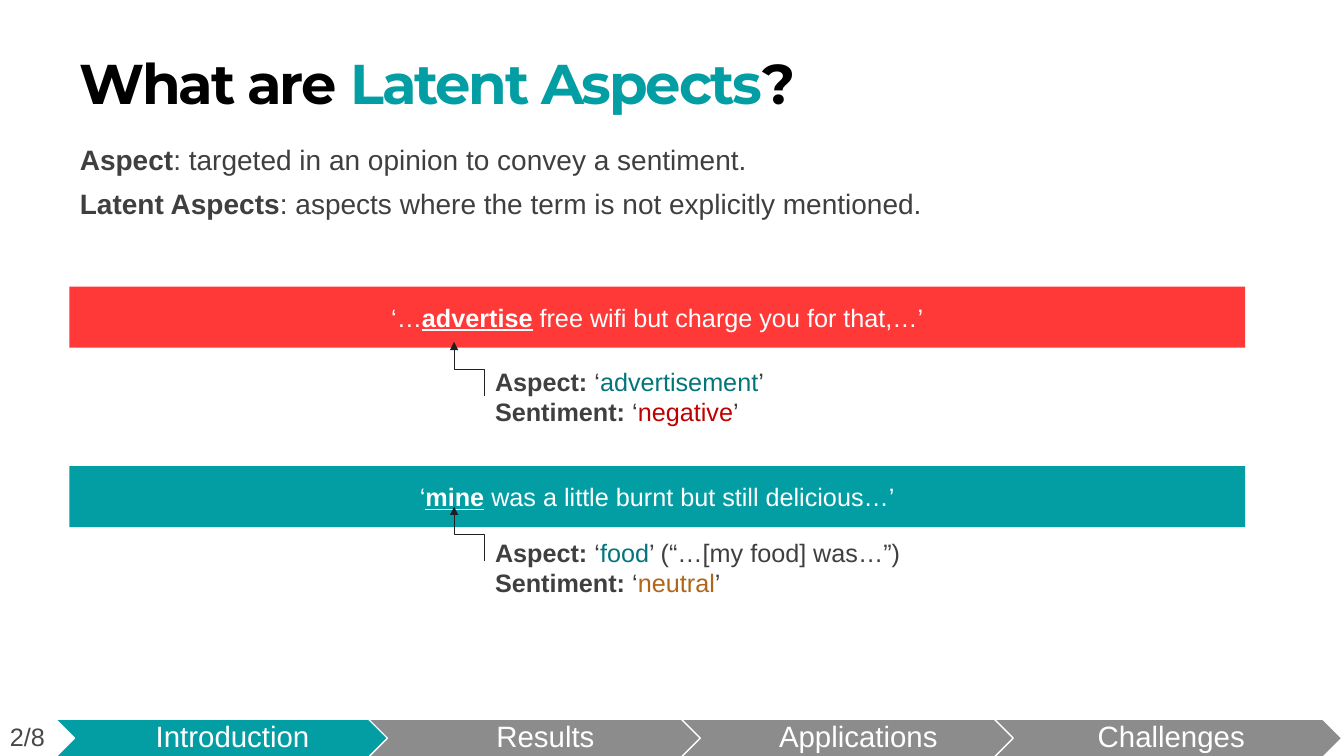
from lxml.etree import SubElement
from pptx import Presentation
from pptx.dml.color import RGBColor
from pptx.enum.shapes import MSO_CONNECTOR, MSO_SHAPE
from pptx.enum.text import MSO_ANCHOR, MSO_AUTO_SIZE, PP_ALIGN
from pptx.oxml.ns import qn
from pptx.util import Pt

PX = 9525  # EMU per px, 96 px to the inch
COLORS = {
    "black": "000000", "white": "FFFFFF", "text": "3F3F3F", "number": "484848",
    "teal": "039EA4", "dark teal": "02767B", "red": "FF0000",
    "negative": "C00000", "neutral": "B16519", "gray": "8C8C8C", "arrow": "1F1F26",
}


def color(name):
    return RGBColor.from_string(COLORS[name])


def write(frame, lines, size, font="Arial", align=PP_ALIGN.LEFT):
    """Fill a frame with lines of (text, colour, style) spans; style holds b and u."""
    frame.word_wrap = True
    frame.auto_size = MSO_AUTO_SIZE.NONE
    for index, line in enumerate(lines):
        para = frame.paragraphs[0] if index == 0 else frame.add_paragraph()
        para.alignment = align
        for text, name, style in line:
            span = para.add_run()
            span.text = text
            span.font.name = font
            span.font.size = Pt(size)
            span.font.bold = "b" in style
            span.font.underline = "u" in style
            span.font.color.rgb = color(name)


deck = Presentation()
deck.slide_width, deck.slide_height = 1280 * PX, 720 * PX
page = deck.slides.add_slide(deck.slide_layouts[1])
title, body = page.placeholders

# Title
title.left, title.top, title.width, title.height = 66 * PX, 49 * PX, 878 * PX, 139 * PX
title.text_frame.vertical_anchor = MSO_ANCHOR.TOP
write(title.text_frame, [[("What are", "black", "b"), (" Latent Aspects", "teal", "b"),
                          ("?", "black", "b")]], 40, "Montserrat")
title.text_frame.paragraphs[0].line_spacing = 0.9
for span in title.text_frame.paragraphs[0].runs:
    span.font._element.set("spc", "-150")

# Definitions
body.left, body.top, body.width, body.height = 76 * PX, 131 * PX, 1138 * PX, 100 * PX
frame = body.text_frame
frame.margin_left, frame.margin_top = 0, 8 * PX
frame.margin_right, frame.margin_bottom = 10 * PX, 5 * PX
write(frame, [
    [("Aspect", "text", "b"), (": targeted in an opinion to convey a sentiment.", "text", "")],
    [("Latent Aspects", "text", "b"),
     (": aspects where the term is not explicitly mentioned.", "text", "")],
], 20)
for para in frame.paragraphs:
    para.line_spacing = 0.9
    para.space_before = Pt(10)
    properties = para._p.get_or_add_pPr()
    properties.set("marL", "0")
    properties.set("indent", "0")
    SubElement(properties, qn("a:buNone"))

# Examples: quote bar, labels below it, arrow from the labels to the marked word
examples = [
    (273, "red", 78, ("‘…", "advertise", " free wifi but charge you for that,…’"),
     344, 337, ("advertisement", "’"), ("negative", "negative")),
    (444, "teal", 100, ("‘", "mine", " was a little burnt but still delicious…’"),
     507, 494, ("food", "’ (“…[my food] was…”)"), ("neutral", "neutral")),
]
for bar_top, fill, opacity, quote, label_top, arrow_top, aspect, sentiment in examples:
    bar = page.shapes.add_shape(MSO_SHAPE.RECTANGLE, 66 * PX, bar_top * PX, 1120 * PX, 58 * PX)
    bar.shadow.inherit = False
    bar.fill.solid()
    bar.fill.fore_color.rgb = color(fill)
    if opacity < 100:
        rgb = bar._element.spPr.find(".//" + qn("a:srgbClr"))
        SubElement(rgb, qn("a:alpha")).set("val", str(opacity * 1000))
    bar.line.fill.background()
    bar.text_frame.vertical_anchor = MSO_ANCHOR.MIDDLE
    write(bar.text_frame, [[(quote[0], "white", ""), (quote[1], "white", "bu"),
                            (quote[2], "white", "")]], 18, align=PP_ALIGN.CENTER)

    label = page.shapes.add_textbox(462 * PX, label_top * PX, 420 * PX, 68 * PX)
    write(label.text_frame, [
        [("Aspect:", "text", "b"), (" ‘", "text", ""), (aspect[0], "dark teal", ""),
         (aspect[1], "text", "")],
        [("Sentiment:", "text", "b"), (" ‘", "text", ""), (sentiment[0], sentiment[1], ""),
         ("’", "text", "")],
    ], 18)

    # Drawn lying flat, then turned a quarter so that it leaves and arrives vertically
    arrow = page.shapes.add_connector(MSO_CONNECTOR.ELBOW, 473 * PX, arrow_top * PX,
                                      421 * PX, (arrow_top + 29) * PX)
    arrow.line.color.rgb = color("arrow")
    arrow.line.width = Pt(0.5)
    properties = arrow._element.spPr
    properties.find(qn("a:xfrm")).set("rot", "5400000")
    SubElement(properties.find(qn("a:ln")), qn("a:tailEnd")).set("type", "triangle")
    SubElement(properties, qn("a:effectLst"))

# Progress bar
for index, section in enumerate(["Introduction", "Results", "Applications", "Challenges"]):
    step = page.shapes.add_shape(MSO_SHAPE.CHEVRON, (53 + 298 * index) * PX, 685 * PX,
                                 331 * PX, 36 * PX)
    step.shadow.inherit = False
    step.fill.solid()
    step.fill.fore_color.rgb = color("teal" if index == 0 else "gray")
    step.line.color.rgb = color("white")
    step.line.width = Pt(1)
    frame = step.text_frame
    frame.vertical_anchor = MSO_ANCHOR.MIDDLE
    frame.margin_left = 9 * PX
    frame.margin_top = frame.margin_right = frame.margin_bottom = 3 * PX
    write(frame, [[(section, "white", "")]], 21, align=PP_ALIGN.CENTER)
    frame.paragraphs[0].line_spacing = 0.9

# Page number
number = page.shapes.add_textbox(0, 682 * PX, 288 * PX, 38 * PX)
write(number.text_frame, [[("2/8", "number", "")]], 18)

deck.save("out.pptx")
